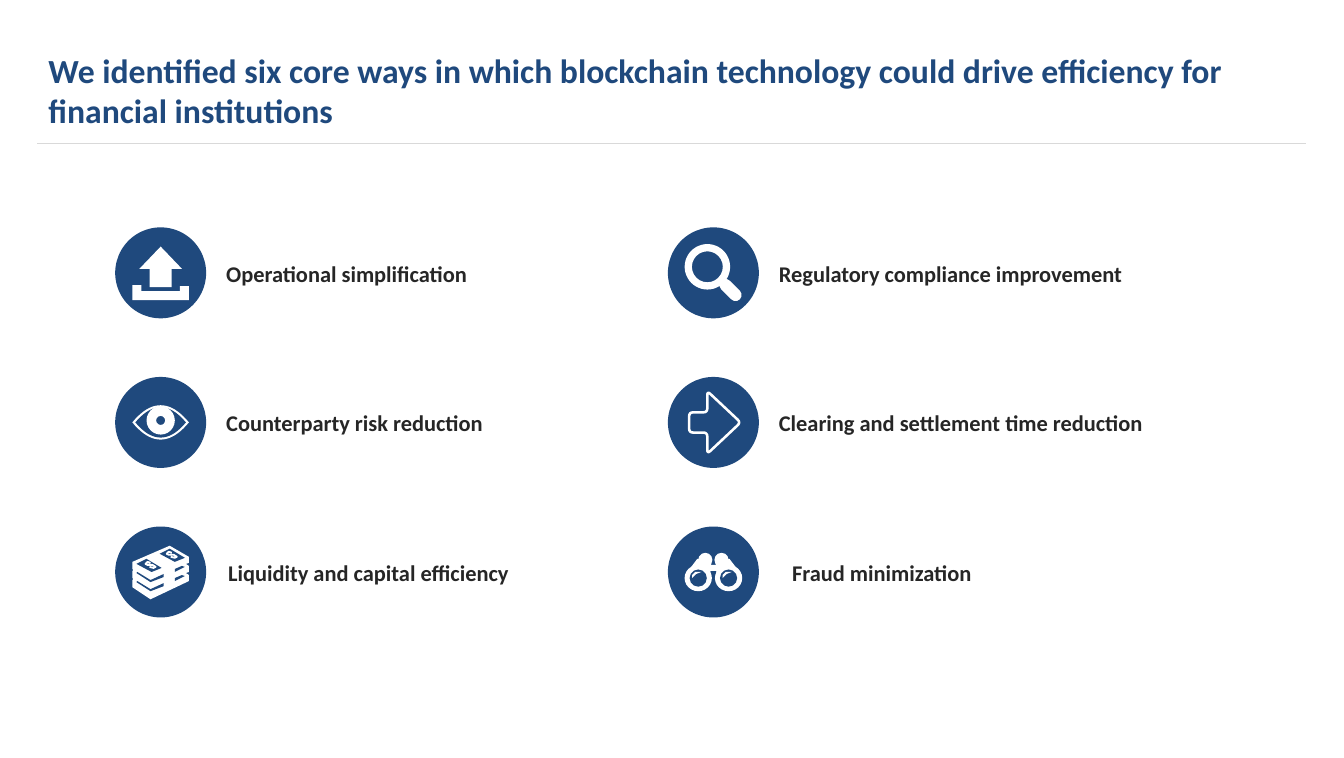
from pptx import Presentation
from pptx.util import Inches, Pt
from pptx.dml.color import RGBColor
from pptx.enum.shapes import MSO_SHAPE, MSO_CONNECTOR
from pptx.enum.text import MSO_ANCHOR, MSO_AUTO_SIZE, PP_ALIGN
from lxml import etree

OVAL, RING, RECT = MSO_SHAPE.OVAL, MSO_SHAPE.DONUT, MSO_SHAPE.RECTANGLE
PILL, ARROW = MSO_SHAPE.ROUNDED_RECTANGLE, MSO_SHAPE.UP_ARROW
LINE = MSO_CONNECTOR.STRAIGHT
BOTTOM, LEFT, FIXED = MSO_ANCHOR.BOTTOM, PP_ALIGN.LEFT, MSO_AUTO_SIZE.NONE

COLORS = {"navy": "1F497D", "white": "FFFFFF", "ink": "262626", "rule": "D9D9D9"}
FONT = "Calibri"
WIDE, HIGH = 13.3, 7.5
DISC = 0.9


def color(name):
    return RGBColor.from_string(COLORS[name])


def style(frame, size, name):
    for run in frame.paragraphs[0].runs:
        run.font.name, run.font.size, run.font.bold = FONT, Pt(size), True
        run.font.color.rgb = color(name)


class Icon:
    """Draws parts in inches from the centre of a disc."""

    def __init__(self, shapes, x, y):
        self.shapes, self.x, self.y = shapes, x, y

    def paint(self, part, fill, line=0):
        part.shadow.inherit = False
        if line:
            part.fill.background()
            part.line.color.rgb = color(fill)
            part.line.width = Pt(line)
        else:
            part.fill.solid()
            part.fill.fore_color.rgb = color(fill)
            part.line.fill.background()
        return part

    def put(self, kind, x, y, w, h, fill="white", adjust=()):
        """Place a preset shape by its centre."""
        part = self.shapes.add_shape(kind, Inches(self.x + x - w / 2),
                                     Inches(self.y + y - h / 2), Inches(w), Inches(h))
        for i, value in enumerate(adjust):
            part.adjustments[i] = value
        return self.paint(part, fill)

    def poly(self, points, fill="white", line=0, close=True):
        spots = [(Inches(self.x + x), Inches(self.y + y)) for x, y in points]
        pen = self.shapes.build_freeform(*spots[0], scale=1.0)
        pen.add_line_segments(spots[1:], close=close)
        return self.paint(pen.convert_to_shape(), fill, line)


def shift(points, dx, dy):
    return [(x + dx, y + dy) for x, y in points]


def mirror(points):
    return points + [(x, -y) for x, y in reversed(points)]


def soften(points, cut):
    """Round each corner with a short curve."""
    out = []
    for i, (x, y) in enumerate(points):
        ends = []
        for px, py in (points[i - 1], points[(i + 1) % len(points)]):
            size = ((px - x) ** 2 + (py - y) ** 2) ** 0.5
            ends.append((x + (px - x) * cut / size, y + (py - y) * cut / size))
        (ax, ay), (bx, by) = ends
        for t in (0, 0.25, 0.5, 0.75, 1):
            a, m, b = (1 - t) ** 2, 2 * t * (1 - t), t * t
            out.append((a * ax + m * x + b * bx, a * ay + m * y + b * by))
    return out


# Icons
def upload(icon):
    icon.poly([(-0.28, 0.12), (-0.19, 0.12), (-0.19, 0.18), (0.19, 0.18),
               (0.19, 0.13), (0.28, 0.13), (0.28, 0.27), (-0.28, 0.27)])
    icon.put(ARROW, 0, -0.06, 0.42, 0.4, adjust=(0.52, 0.55))


def search(icon):
    icon.put(RING, -0.06, -0.06, 0.45, 0.45, adjust=(0.16,))
    icon.put(PILL, 0.17, 0.17, 0.26, 0.12, adjust=(0.5,)).rotation = 45


def eye(icon):
    for w, h, fill in ((0.28, 0.17, "white"), (0.25, 0.15, "navy")):
        arc = [(w * i / 10, -h * (1 - (i / 10) ** 2)) for i in range(-10, 11)]
        icon.poly(mirror(arc), fill)
    icon.put(RING, 0, -0.02, 0.28, 0.28, adjust=(0.34,))


def arrow(icon):
    half = [(-0.24, -0.1), (-0.06, -0.1), (-0.06, -0.31), (0.27, 0)]
    icon.poly(soften(half + [(x, -y) for x, y in half[2::-1]], 0.04), line=1.8)


def money(icon):
    edge = [(0.28, -0.15), (0.28, -0.09), (0.25, -0.08)]
    side = [(-0.27, -0.02), (-0.28, -0.03), (-0.28, -0.1)]
    steps = (0, 0.09, 0.18)
    right = [p for s in steps for p in shift(edge, 0, s)][:-1]
    left = [p for s in reversed(steps) for p in shift(side, 0, s)][1:]
    icon.poly([(0.09, -0.26)] + right + [(-0.1, 0.27)] + left)
    # Gaps between the bundles
    front = [(-0.24, 0.01), (-0.1, 0.1), (0.03, 0.05), (0.03, 0.02), (-0.1, 0.08), (-0.23, 0)]
    back = [(0.14, 0), (0.14, -0.03), (0.21, -0.06), (0.24, -0.05)]
    for s in steps[:2]:
        icon.poly(shift(front, 0, s), "navy")
        icon.poly(shift(back, 0, s), "navy")
    # Notes on top
    note = [(-0.01, -0.18), (0.09, -0.23), (0.24, -0.14), (0.14, -0.1)]
    sign = [(0.11, -0.19), (0.08, -0.2), (0.06, -0.18), (0.08, -0.17), (0.13, -0.17),
            (0.16, -0.15), (0.14, -0.14), (0.1, -0.15)]
    for dx, dy in ((0, 0), (-0.23, 0.1)):
        icon.poly(shift(note, dx, dy), "navy")
        icon.poly(shift(sign, dx + 0.02 * (dx < 0), dy), line=1.3, close=False)


def glasses(icon):
    tube = [(0.02, -0.12), (0.16, -0.13), (0.22, -0.05), (0.15, 0.06), (0.03, 0.01)]
    shine = [(-0.21, 0.06), (-0.21, 0.03), (-0.18, 0), (-0.12, 0), (-0.17, 0.02)]
    for side in (-1, 1):
        icon.poly([(side * x, y) for x, y in tube])
        icon.put(OVAL, side * 0.08, -0.12, 0.14, 0.14)
        icon.put(OVAL, side * 0.15, 0.06, 0.27, 0.26)
        icon.put(OVAL, side * 0.15, 0.06, 0.17, 0.17, "navy")
        icon.poly(shift(shine, 0.15 + side * 0.15, 0))
    icon.put(RECT, 0, -0.04, 0.09, 0.06)


# Label, icon, label offset
ITEMS = [
    ("Operational simplification", upload, 0),
    ("Regulatory compliance improvement", search, 0),
    ("Counterparty risk reduction", eye, 0),
    ("Clearing and settlement time reduction", arrow, 0),
    ("Liquidity and capital efficiency", money, 0.02),
    ("Fraud minimization", glasses, 0.13),
]


def heading(slide, x, y, w, h):
    title = slide.shapes.title
    title.left, title.top, title.width, title.height = map(Inches, (x, y, w, h))
    frame = title.text_frame
    frame.text = ("We identified six core ways in which blockchain technology "
                  "could drive efficiency for financial institutions")
    frame.vertical_anchor, frame.auto_size, frame.word_wrap = BOTTOM, FIXED, True
    frame.paragraphs[0].alignment = LEFT
    style(frame, 24, "navy")
    # Rule under the title
    base = Inches(y + h + 0.08)
    rule = slide.shapes.add_connector(LINE, Inches(x - 0.01), base, Inches(x + w + 0.63), base)
    rule.line.color.rgb, rule.line.width = color("rule"), Pt(0.25)
    props = rule._element.spPr
    etree.SubElement(props, props.tag.split("}")[0].replace(
        "presentationml", "drawingml").replace("/2006/main", "/2006/main") + "}effectLst")


def item(slide, x, y, label, draw, nudge):
    shapes = slide.shapes.add_group_shape().shapes
    icon = Icon(shapes, x + DISC / 2, y + DISC / 2)
    icon.put(OVAL, 0, 0, DISC, DISC, "navy")
    draw(icon)
    box = shapes.add_textbox(Inches(x + 1 + nudge), Inches(y + 0.27), Inches(4.04), Inches(0.37))
    box.text_frame.word_wrap = True
    box.text_frame.text = label
    style(box.text_frame, 16, "ink")


def grid(slide, x, y, across, down):
    for i, (label, draw, nudge) in enumerate(ITEMS):
        item(slide, x + i % 2 * across, y + i // 2 * down, label, draw, nudge)


def main():
    deck = Presentation()
    deck.slide_width, deck.slide_height = Inches(WIDE), Inches(HIGH)
    slide = deck.slides.add_slide(deck.slide_layouts[5])
    heading(slide, 0.38, 0.16, 11.91, 1.18)
    grid(slide, 1.14, 2.25, 5.47, 1.48)
    deck.save("out.pptx")


if __name__ == "__main__":
    main()
